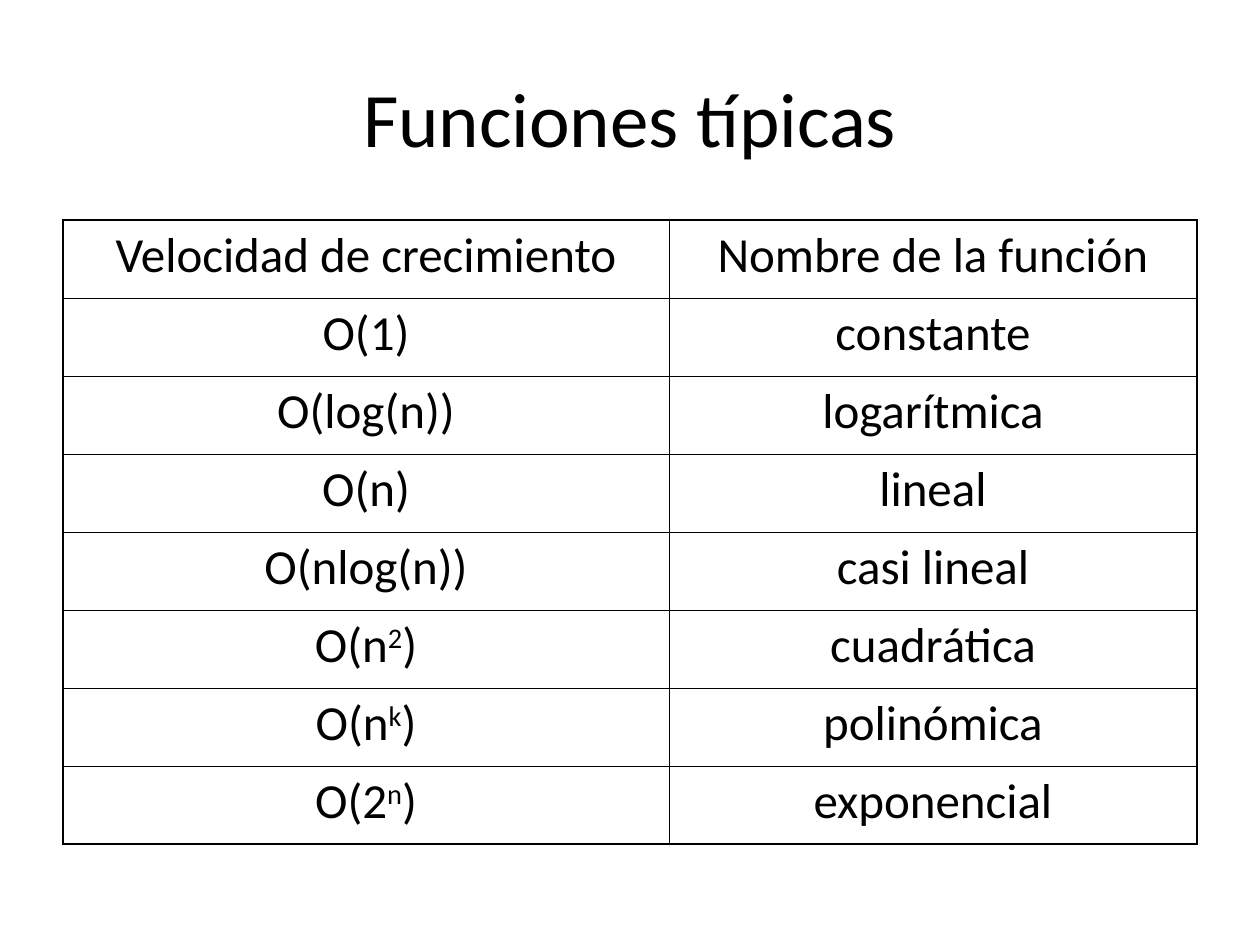
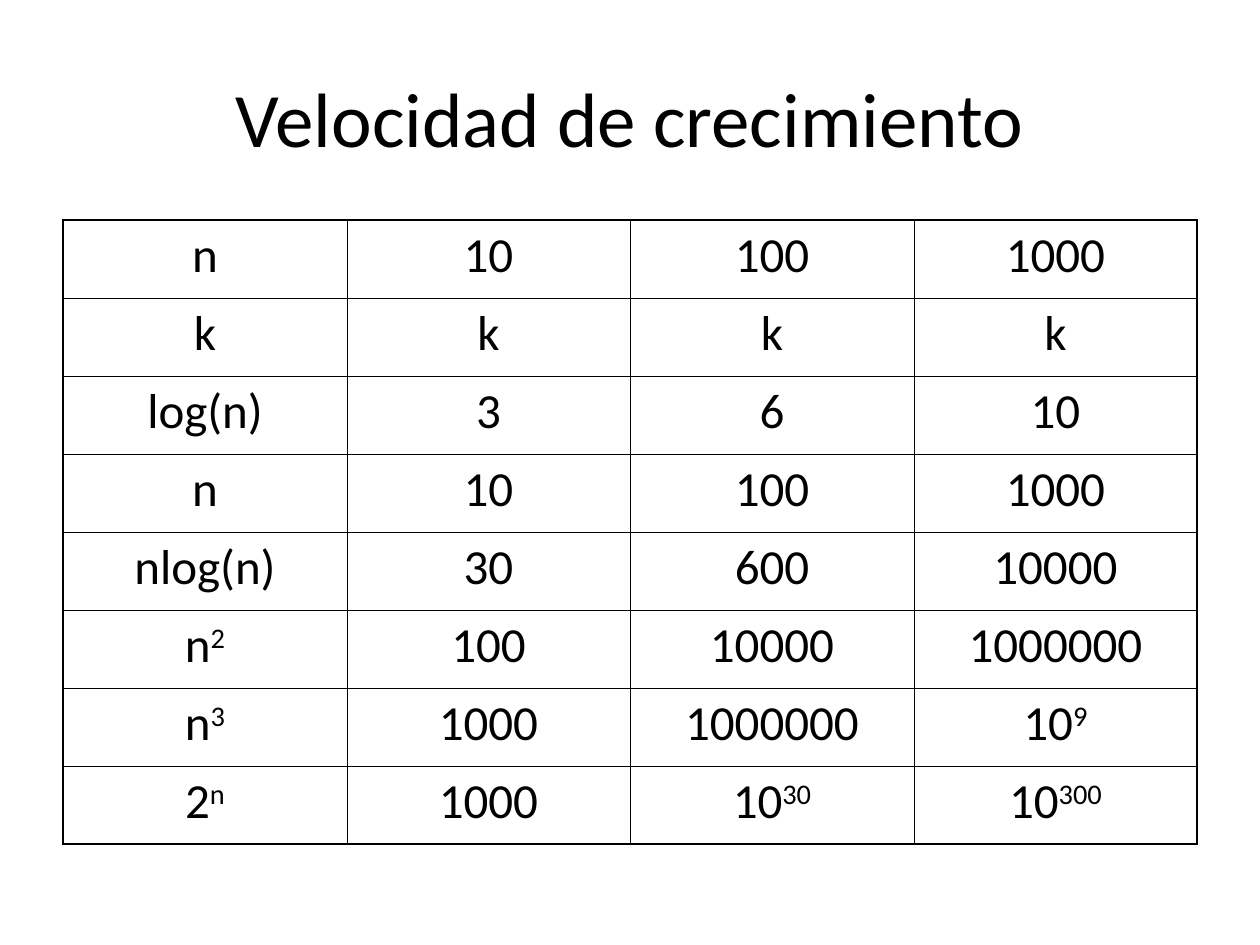
from lxml.etree import SubElement
from pptx import Presentation
from pptx.dml.color import RGBColor
from pptx.enum.text import MSO_ANCHOR, PP_ALIGN
from pptx.oxml.ns import qn
from pptx.util import Emu, Pt

COLORS = {"text": "000000", "border": "000000", "background": "FFFFFF"}
FONT = "Calibri"
TITLE_SIZE, CELL_SIZE = 44, 28
OUTER_LINE, INNER_LINE = 1.08, 0.45
LEFT, WIDTH = 63, 1134
TITLE_TOP, TITLE_HEIGHT = 38, 158
TABLE_TOP, ROW_HEIGHT = 220, 78

FUNCTIONS = [
    ("Velocidad de crecimiento", "Nombre de la función"),
    ("O(1)", "constante"),
    ("O(log(n))", "logarítmica"),
    ("O(n)", "lineal"),
    ("O(nlog(n))", "casi lineal"),
    ("O(n^2^)", "cuadrática"),
    ("O(n^k^)", "polinómica"),
    ("O(2^n^)", "exponencial"),
]
GROWTH = [
    ("n", "10", "100", "1000"),
    ("k", "k", "k", "k"),
    ("log(n)", "3", "6", "10"),
    ("n", "10", "100", "1000"),
    ("nlog(n)", "30", "600", "10000"),
    ("n^2^", "100", "10000", "1000000"),
    ("n^3^", "1000", "1000000", "10^9^"),
    ("2^n^", "1000", "10^30^", "10^300^"),
]


def px(n):
    """Turn pixels into EMU."""
    return Emu(round(n * 914400 / 126))


def style_run(r, size):
    """Give a run the shared font and colour."""
    r.font.name = FONT
    r.font.size = Pt(size)
    r.font.bold = False
    r.font.color.rgb = RGBColor.from_string(COLORS["text"])


def add_title(s, text):
    """Fill and place the title placeholder."""
    sp = s.shapes.title
    sp.left, sp.top = px(LEFT), px(TITLE_TOP)
    sp.width, sp.height = px(WIDTH), px(TITLE_HEIGHT)
    tf = sp.text_frame
    tf.text = text
    tf.vertical_anchor = MSO_ANCHOR.MIDDLE
    p = tf.paragraphs[0]
    p.alignment = PP_ALIGN.CENTER
    style_run(p.runs[0], TITLE_SIZE)


def fill_cell(cell, text):
    """Write centred cell text, raising the parts between carets."""
    cell.fill.background()
    p = cell.text_frame.paragraphs[0]
    p.alignment = PP_ALIGN.CENTER
    p.space_before = Pt(7)
    for i, part in enumerate(text.split("^")):
        if part:
            r = p.add_run()
            r.text = part
            style_run(r, CELL_SIZE)
            if i % 2:
                r.font._element.set("baseline", "30000")


def set_borders(cell, outer):
    """Draw the four cell borders, heavier on the outer sides."""
    tcPr = cell._tc.get_or_add_tcPr()
    for i, side in enumerate("LRTB"):
        width = OUTER_LINE if side in outer else INNER_LINE
        ln = SubElement(tcPr, qn(f"a:ln{side}"), w=str(Pt(width)))
        fill = SubElement(ln, qn("a:solidFill"))
        SubElement(fill, qn("a:srgbClr"), val=COLORS["border"])
        tcPr.insert(i, ln)


def add_grid(s, rows, widths):
    """Add a bordered table with the given rows and column widths."""
    n_rows, n_cols = len(rows), len(widths)
    frame = s.shapes.add_table(n_rows, n_cols, px(LEFT), px(TABLE_TOP),
                               px(WIDTH), px(ROW_HEIGHT * n_rows))
    table = frame.table
    table.first_row = table.horz_banding = False
    for column, width in zip(table.columns, widths):
        column.width = px(width)
    for i, row in enumerate(rows):
        table.rows[i].height = px(ROW_HEIGHT)
        for j, text in enumerate(row):
            edges = {"L": j == 0, "R": j == n_cols - 1,
                     "T": i == 0, "B": i == n_rows - 1}
            cell = table.cell(i, j)
            fill_cell(cell, text)
            set_borders(cell, [side for side in edges if edges[side]])


def add_table_slide(prs, title, rows, widths):
    """Add a slide with a title above a table."""
    s = prs.slides.add_slide(prs.slide_layouts[5])
    s.background.fill.solid()
    s.background.fill.fore_color.rgb = RGBColor.from_string(COLORS["background"])
    add_title(s, title)
    add_grid(s, rows, widths)


def main():
    """Build and save the deck."""
    prs = Presentation()
    prs.slide_width, prs.slide_height = px(1260), px(945)
    add_table_slide(prs, "Funciones típicas", FUNCTIONS, [606, 528])
    add_table_slide(prs, "Velocidad de crecimiento", GROWTH, [284, 283] * 2)
    prs.save("out.pptx")


if __name__ == "__main__":
    main()
